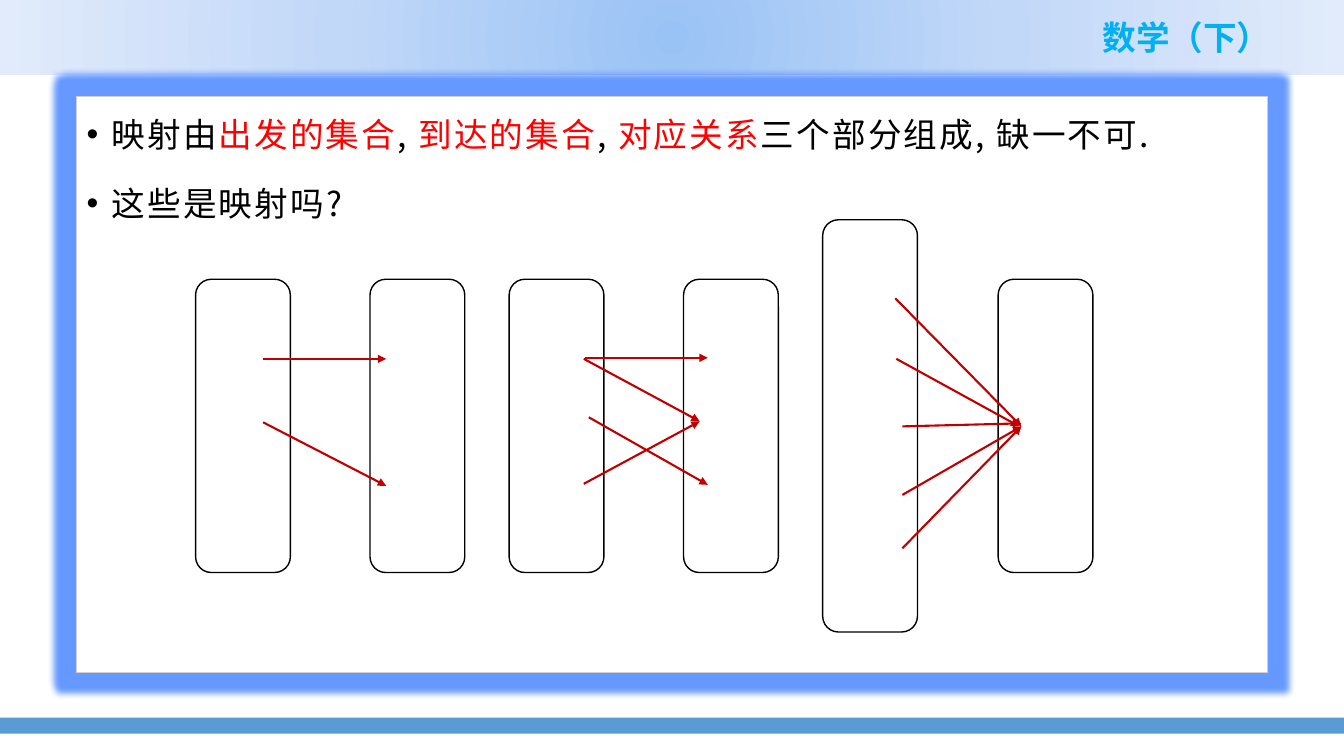
"""Build the slide on mappings between sets."""
from dataclasses import dataclass
from lxml.etree import SubElement
from pptx import Presentation
from pptx.dml.color import RGBColor as RGB
from pptx.enum.shapes import MSO_CONNECTOR as LINK, MSO_SHAPE as SHAPE
from pptx.enum.text import MSO_ANCHOR as ANCHOR, PP_ALIGN as ALIGN
from pptx.oxml import parse_xml
from pptx.oxml.ns import nsdecls, qn
from pptx.shapes.autoshape import Shape
from pptx.text.text import Font
from pptx.util import Emu, Pt

SCALE = 9144


@dataclass(frozen=True)
class Theme:
    font: str = "Noto Sans CJK SC"
    size: int = 24
    ink: str = "000000"
    mark: str = "FF0000"
    title: str = "00B0F0"
    paper: str = "FFFFFF"
    frame: str = "D0CECE"
    glow: str = "6699FF"
    base: str = "5B9BD5"
    arrow: str = "C00000"
    fade: tuple[str, ...] = ("9AC3F5", "C2D8F8", "E1EBFB")


@dataclass(frozen=True)
class Box:
    x: int
    y: int
    w: int
    h: int


@dataclass(frozen=True)
class Arrow:
    x1: int
    y1: int
    x2: int
    y2: int


THEME = Theme()
BAND = Box(0, 0, 1333, 74)
BASE = Box(0, 712, 1333, 16)
TITLE = Box(894, 12, 376, 50)
FRAME = Box(76, 96, 1181, 571)
SETS = [Box(x, 277, 94, 291) for x in (194, 367, 505, 678, 990)]
SETS.append(Box(816, 218, 94, 409))
ARROWS = [
    Arrow(261, 356, 383, 356), Arrow(261, 419, 383, 482),
    Arrow(584, 414, 702, 481), Arrow(580, 355, 702, 355),
    Arrow(579, 356, 694, 418), Arrow(579, 480, 694, 418),
    Arrow(889, 356, 1011, 423), Arrow(895, 423, 1013, 420),
    Arrow(895, 544, 1013, 423), Arrow(888, 296, 1013, 423),
    Arrow(895, 491, 1013, 423),
]
POINTS = [
    [("映射由", False), ("出发的集合", True), (", ", False),
     ("到达的集合", True), (", ", False), ("对应关系", True),
     ("三个部分组成, 缺一不可.", False)],
    [("这些是映射吗?", False)],
]


def px(n: int) -> Emu:
    """Turn px into EMU."""
    return Emu(n * SCALE)


def place(box: Box) -> list[Emu]:
    """Give the place of a box in EMU."""
    return [px(n) for n in (box.x, box.y, box.w, box.h)]


def draw(slide, box: Box, kind=SHAPE.RECTANGLE, fill: str = "", line: str = "") -> Shape:
    """Draw a shape, with fill and line where given."""
    shape = slide.shapes.add_shape(kind, *place(box))
    shape.shadow.inherit = False
    if fill:
        shape.fill.solid()
        shape.fill.fore_color.rgb = RGB.from_string(fill)
    else:
        shape.fill.background()
    if line:
        shape.line.color.rgb = RGB.from_string(line)
        shape.line.width = Pt(1)
    else:
        shape.line.fill.background()
    return shape


def fade(shape: Shape) -> None:
    """Fill a shape with the round gradient."""
    stops = "".join(f'<a:gs pos="{i * 50000}"><a:srgbClr val="{c}"/></a:gs>'
                    for i, c in enumerate(THEME.fade))
    grad = parse_xml(
        f'<a:gradFill {nsdecls("a")}><a:gsLst>{stops}</a:gsLst><a:path path="circle">'
        '<a:fillToRect l="50000" t="50000" r="50000" b="50000"/></a:path></a:gradFill>')
    props = shape._element.spPr
    props.replace(props.find(qn("a:noFill")), grad)


def shine(shape: Shape) -> None:
    """Put a glow round a shape."""
    list_ = shape._element.spPr.find(qn("a:effectLst"))
    glow = SubElement(list_, qn("a:glow"), rad=str(Pt(10)))
    SubElement(glow, qn("a:srgbClr"), val=THEME.glow)


def link(slide, arrow: Arrow) -> None:
    """Draw an arrow."""
    ends = [px(n) for n in (arrow.x1, arrow.y1, arrow.x2, arrow.y2)]
    line = slide.shapes.add_connector(LINK.STRAIGHT, *ends)
    line.line.color.rgb = RGB.from_string(THEME.arrow)
    line.line.width = Pt(1.5)
    SubElement(line.line._get_or_add_ln(), qn("a:tailEnd"), type="triangle")
    SubElement(line._element.spPr, qn("a:effectLst"))


def style(font: Font, color: str) -> None:
    """Set the face, size and colour of a font."""
    font.name, font.size = THEME.font, Pt(THEME.size)
    font.color.rgb = RGB.from_string(color)
    SubElement(font._element, qn("a:ea"), typeface=THEME.font)


def head(slide) -> None:
    """Write the title."""
    frame = slide.shapes.add_textbox(*place(TITLE)).text_frame
    frame.word_wrap = True
    para = frame.paragraphs[0]
    para.text, para.alignment = "数学（下）", ALIGN.RIGHT
    style(para.font, THEME.title)
    para.font.bold = True


def body(slide) -> None:
    """Write the bullet points."""
    frame = slide.shapes.add_textbox(*place(FRAME)).text_frame
    frame.word_wrap, frame.vertical_anchor = True, ANCHOR.TOP
    for i, point in enumerate(POINTS):
        para = frame.add_paragraph() if i else frame.paragraphs[0]
        para.line_spacing, para.space_after = 1.3, Pt(6)
        if i:
            para.space_before = Pt(6)
        props = para._p.get_or_add_pPr()
        props.set("marL", str(px(25)))
        props.set("indent", str(px(-25)))
        SubElement(props, qn("a:buFont"), typeface="Arial")
        SubElement(props, qn("a:buChar"), char="•")
        style(para.font, THEME.ink)
        for text, key in point:
            run = para.add_run()
            run.text = text
            run.font._element.set("spc", "150")
            if key:
                run.font.color.rgb = RGB.from_string(THEME.mark)


def main() -> None:
    """Build and save the slide."""
    deck = Presentation()
    deck.slide_width, deck.slide_height = px(1333), px(750)
    slide = deck.slides.add_slide(deck.slide_layouts[6])
    fade(draw(slide, BAND))
    draw(slide, BASE, fill=THEME.base)
    head(slide)
    shine(draw(slide, FRAME, fill=THEME.paper, line=THEME.frame))
    body(slide)
    for box in SETS:
        draw(slide, box, SHAPE.ROUNDED_RECTANGLE, line=THEME.ink)
    for arrow in ARROWS:
        link(slide, arrow)
    deck.save("out.pptx")


if __name__ == "__main__":
    main()
